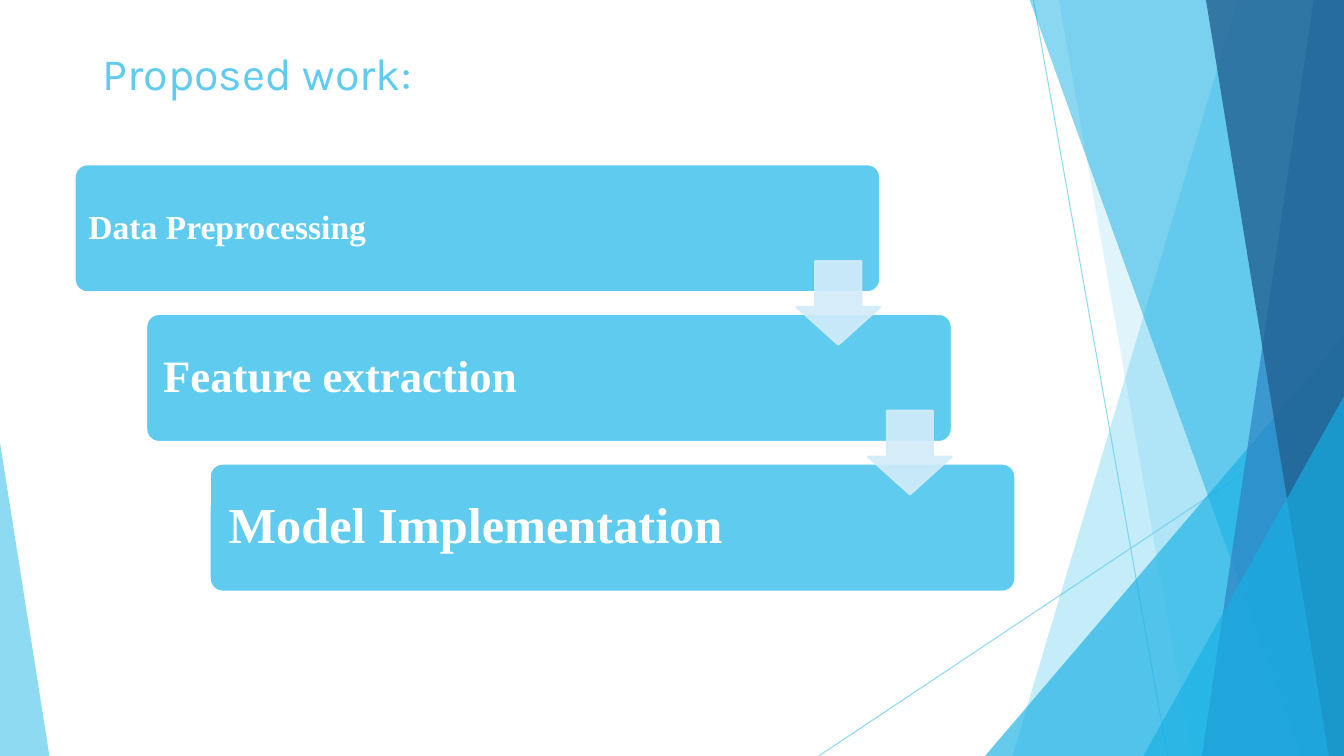
"""Build the "Proposed work" slide: three descending steps beside a faceted blue border."""
import pptx
import pptx.dml.color
import pptx.enum.shapes
import pptx.enum.text
import pptx.oxml
import pptx.oxml.ns
import pptx.util

Inches = pptx.util.Inches
Pt = pptx.util.Pt
SHAPES = pptx.enum.shapes.MSO_SHAPE
SKY, CYAN, PALE, WHITE = "5FCBEF", "17B0E4", "D2ECF9", "FFFFFF"


def rgb(hex_color):
    return pptx.dml.color.RGBColor.from_string(hex_color)


def paint(shape, fill=None, line=None, width=1.5, opacity=100):
    if fill:
        shape.shadow.inherit = False
        shape.fill.solid()
        shape.fill.fore_color.rgb = rgb(fill)
    if line:
        shape.line.color.rgb = rgb(line)
        shape.line.width = Pt(width)
    else:
        shape.line.fill.background()
    if opacity < 100:
        for color in shape.element.spPr.iter(pptx.oxml.ns.qn("a:srgbClr")):
            alpha = color.makeelement(pptx.oxml.ns.qn("a:alpha"), {"val": str(opacity * 1000)})
            color.append(alpha)


deck = pptx.Presentation()
deck.slide_width = Inches(13.33)
deck.slide_height = Inches(7.5)
slide = deck.slides.add_slide(deck.slide_layouts[5])
shapes = slide.shapes

for start_x, start_y, end_x, end_y in [(10.25, 0, 11.58, 7.5), (13.33, 4.03, 8.12, 7.5)]:
    ray = shapes.add_connector(
        pptx.enum.shapes.MSO_CONNECTOR.STRAIGHT,
        Inches(start_x), Inches(start_y), Inches(end_x), Inches(end_y))
    paint(ray, line=SKY, width=0.75, opacity=70)
    ray.element.spPr.append(pptx.oxml.parse_xml(
        f'<a:effectLst {pptx.oxml.ns.nsdecls("a")}/>'))

border = [
    ("band", 12.28, 10.04, SKY, 36),
    ("band", 10.5, 11.82, SKY, 20),
    ("corner", (9.77, 3.33, 3.56, 4.17), 1, CYAN, 66),
    ("band", 10.21, 12.91, CYAN, 50),
    ("band", 13.03, 11.92, "2E83C3", 70),
    ("band", 11.96, 13.18, "226292", 80),
    ("corner", (11.34, 3.93, 1.99, 3.57), 1, CYAN, 66),
    ("corner", (0, 4.39, 0.49, 3.11), 0, SKY, 70),
]
for kind, place, slant, color, opacity in border:
    if kind == "band":
        outline = shapes.build_freeform(Inches(place), Inches(-0.01))
        outline.add_line_segments([
            (Inches(x), Inches(y))
            for x, y in [(13.33, -0.01), (13.33, 7.5), (slant, 7.5)]])
        facet = outline.convert_to_shape()
    else:
        facet = shapes.add_shape(SHAPES.ISOSCELES_TRIANGLE, *map(Inches, place))
        facet.adjustments[0] = slant
    paint(facet, fill=color, opacity=opacity)

title = shapes.title
title_box = {"left": 0.92, "top": 0.4, "width": 11.23, "height": 0.59}
for name, value in title_box.items():
    setattr(title, name, Inches(value))
title.text_frame.text = "Proposed work:"
title.text_frame.vertical_anchor = pptx.enum.text.MSO_ANCHOR.TOP
heading = title.text_frame.paragraphs[0]
heading.alignment = pptx.enum.text.PP_ALIGN.LEFT
heading.font.color.rgb = rgb(SKY)
for name, value in {"name": "Karla", "size": Pt(32)}.items():
    setattr(heading.font, name, value)

step_top, step_pitch = 1.63, 1.485
steps = [
    ("Data Preprocessing", 0.74, 24, 0.1),
    ("Feature extraction", 1.45, 32, 0.13),
    ("Model Implementation", 2.08, 36, 0.15),
]
for index, (label, left, size, inset) in enumerate(steps):
    step = shapes.add_shape(
        SHAPES.ROUNDED_RECTANGLE, Inches(left), Inches(step_top + index * step_pitch),
        Inches(7.99), Inches(1.27))
    step.adjustments[0] = 0.1
    paint(step, fill=SKY, line=WHITE)
    frame = step.text_frame
    frame.text = label
    frame.word_wrap = True
    frame.vertical_anchor = pptx.enum.text.MSO_ANCHOR.MIDDLE
    for side in ("left", "top", "right", "bottom"):
        setattr(frame, f"margin_{side}", Inches(inset))
    paragraph = frame.paragraphs[0]
    paragraph.alignment = pptx.enum.text.PP_ALIGN.LEFT
    paragraph.line_spacing = 0.9
    paragraph.font.color.rgb = rgb(WHITE)
    step_font = {"name": "Times New Roman", "size": Pt(size), "bold": True}
    for name, value in step_font.items():
        setattr(paragraph.font, name, value)

for index in range(len(steps) - 1):
    arrow = shapes.add_shape(
        SHAPES.DOWN_ARROW, Inches(7.9 + index * 0.71), Inches(2.59 + index * step_pitch),
        Inches(0.83), Inches(0.83))
    arrow.adjustments[0] = 0.55
    arrow.adjustments[1] = 0.45
    paint(arrow, fill=PALE, line=PALE, opacity=90)

deck.save("out.pptx")
